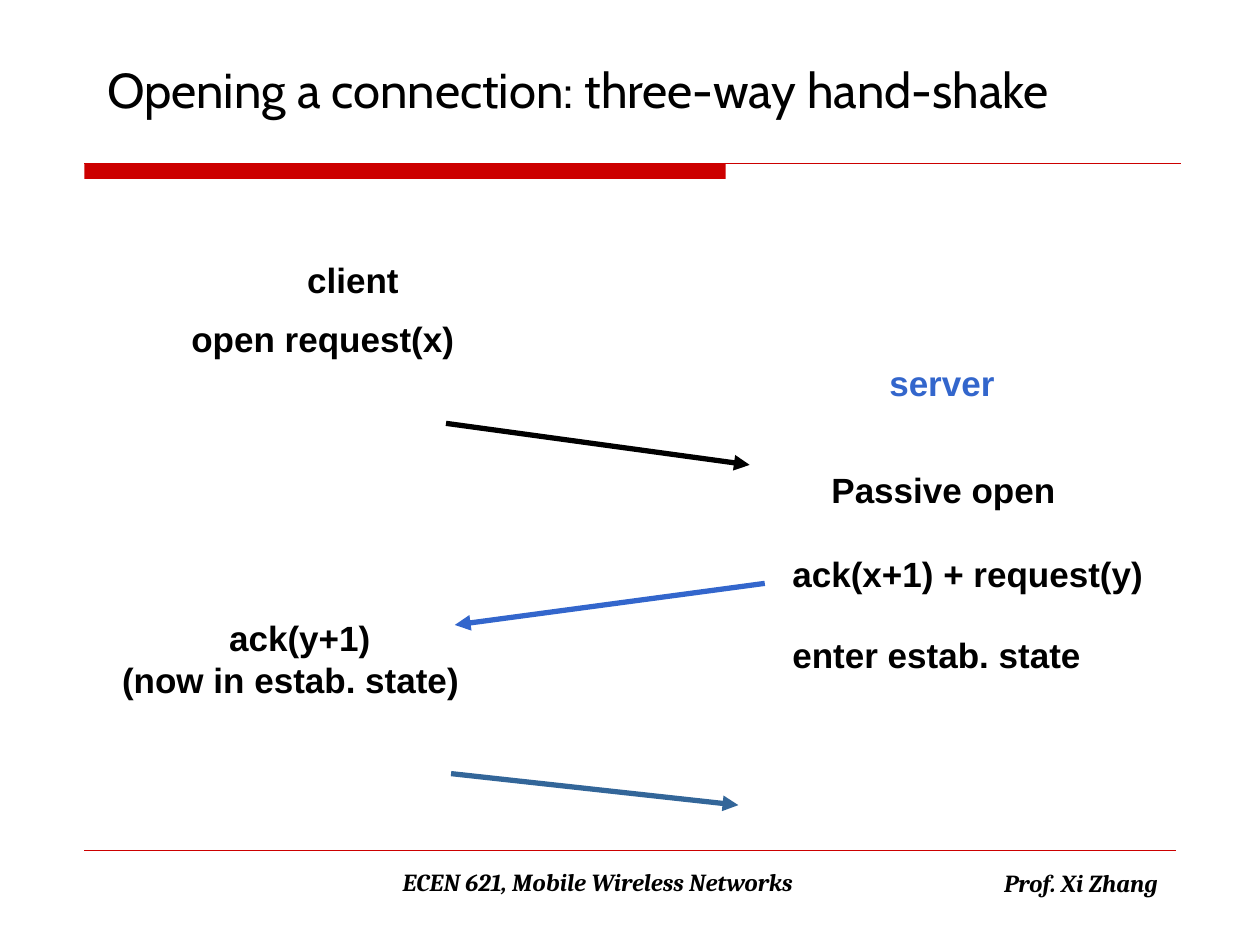
from dataclasses import dataclass

from lxml.etree import SubElement
from pptx import Presentation
from pptx.dml.color import RGBColor
from pptx.enum.shapes import MSO_CONNECTOR, MSO_SHAPE
from pptx.enum.text import MSO_ANCHOR as Anchor, MSO_AUTO_SIZE as AutoSize, PP_ALIGN as Align
from pptx.oxml.ns import qn
from pptx.slide import Slide
from pptx.text.text import _Paragraph as Paragraph
from pptx.util import Inches, Pt


@dataclass(frozen=True)
class Theme:
    ink: str = "000000"
    red: str = "CC0000"
    blue: str = "3366CC"
    steel: str = "336699"
    title_font: str = "Cabin"
    body_font: str = "Arial"
    footer_font: str = "Cambria"
    title_size: int = 28
    body_size: int = 20
    footer_size: int = 14


THEME = Theme()


@dataclass(frozen=True)
class Line:
    text: str
    indent: float = 0
    before: float = 0


@dataclass(frozen=True)
class Label:
    box: tuple[float, float, float, float]
    lines: tuple[Line, ...]
    color: str = THEME.ink


@dataclass(frozen=True)
class Footer:
    box: tuple[float, float, float, float]
    line: Line
    anchor: Anchor


@dataclass(frozen=True)
class Stroke:
    start: tuple[float, float]
    end: tuple[float, float]
    color: str
    width: float = 3
    arrow: bool = True


RULES = (
    Stroke((0.67, 1.3), (9.37, 1.3), THEME.red, 0.74, False),
    Stroke((0.67, 6.75), (9.33, 6.75), THEME.red, 0.26, False),
)
MESSAGES = (
    Stroke((3.54, 3.36), (5.95, 3.69), THEME.ink),
    Stroke((6.07, 4.63), (3.61, 4.96), THEME.blue),
    Stroke((3.58, 6.14), (5.86, 6.39), THEME.steel),
)
FOOTERS = (
    Footer((7.25, 6.67, 2.42, 0.5), Line("Prof. Xi Zhang", 0.24), Anchor.BOTTOM),
    Footer((2.08, 6.83, 5.33, 0.5), Line("ECEN 621, Mobile Wireless Networks"), Anchor.TOP),
)
LABELS = (
    Label((2.34, 2, 1, 0.43), (Line("client"),)),
    Label((6.96, 2.82, 1.1, 0.43), (Line("server"),), THEME.blue),
    Label((1.42, 2.47, 2.35, 0.43), (Line("open request(x)"),)),
    Label((6.19, 3.67, 3.05, 1.1),
          (Line("Passive open", 0.31), Line("ack(x+1) + request(y)", before=24))),
    Label((0.87, 4.84, 2.95, 0.76),
          (Line("ack(y+1)", 0.85), Line("(now in estab. state)"))),
    Label((6.19, 4.98, 2.55, 0.44), (Line("enter estab. state"),)),
)


def style(paragraph: Paragraph, font: str, size: int, color: str,
          bold: bool = True, italic: bool = False) -> None:
    """Set the font of a whole paragraph."""
    paragraph.font.name = font
    paragraph.font.size = Pt(size)
    paragraph.font.color.rgb = RGBColor.from_string(color)
    paragraph.font.bold = bold
    paragraph.font.italic = italic


def write(paragraph: Paragraph, line: Line) -> None:
    """Fill a paragraph with one line and its spacing."""
    paragraph.text = line.text
    paragraph.space_before = Pt(line.before)
    paragraph._p.get_or_add_pPr().set("marL", str(Inches(line.indent)))


def draw_stroke(slide: Slide, stroke: Stroke) -> None:
    """Draw a straight rule or arrow."""
    points = map(Inches, (*stroke.start, *stroke.end))
    connector = slide.shapes.add_connector(MSO_CONNECTOR.STRAIGHT, *points)
    connector.line.color.rgb = RGBColor.from_string(stroke.color)
    connector.line.width = Pt(stroke.width)
    if stroke.arrow:
        SubElement(connector.line._get_or_add_ln(), qn("a:tailEnd"), type="triangle")
    SubElement(connector._element.spPr, qn("a:effectLst"))


def draw_label(slide: Slide, label: Label) -> None:
    """Draw a bold label of one or more lines."""
    frame = slide.shapes.add_textbox(*map(Inches, label.box)).text_frame
    frame.word_wrap = True
    frame.auto_size = AutoSize.SHAPE_TO_FIT_TEXT
    for index, line in enumerate(label.lines):
        paragraph = frame.add_paragraph() if index else frame.paragraphs[0]
        write(paragraph, line)
        style(paragraph, THEME.body_font, THEME.body_size, label.color)


def draw_footer(slide: Slide, footer: Footer) -> None:
    """Draw a centred footer text."""
    frame = slide.shapes.add_textbox(*map(Inches, footer.box)).text_frame
    frame.word_wrap = True
    frame.vertical_anchor = footer.anchor
    paragraph = frame.paragraphs[0]
    write(paragraph, footer.line)
    paragraph.alignment = Align.CENTER
    style(paragraph, THEME.footer_font, THEME.footer_size, THEME.ink, italic=True)


def draw_title(slide: Slide, text: str) -> None:
    """Place and format the title placeholder."""
    title = slide.shapes.title
    title.left, title.top, title.width, title.height = map(Inches, (0.75, 0.08, 8.92, 1.25))
    frame = title.text_frame
    frame.text = text
    frame.vertical_anchor = Anchor.MIDDLE
    frame.paragraphs[0].alignment = Align.LEFT
    style(frame.paragraphs[0], THEME.title_font, THEME.title_size, THEME.ink, bold=False)


def draw_title_bar(slide: Slide) -> None:
    """Draw the thick bar under the title."""
    bar = slide.shapes.add_shape(MSO_SHAPE.RECTANGLE, *map(Inches, (0.67, 1.3, 5.09, 0.12)))
    bar.shadow.inherit = False
    bar.fill.solid()
    bar.fill.fore_color.rgb = RGBColor.from_string(THEME.red)
    bar.line.fill.background()


def main() -> None:
    """Build and save the slide."""
    deck = Presentation()
    deck.slide_width, deck.slide_height = Inches(10), Inches(7.5)
    slide = deck.slides.add_slide(deck.slide_layouts.get_by_name("Title Only"))
    draw_title_bar(slide)
    for stroke in RULES + MESSAGES:
        draw_stroke(slide, stroke)
    for footer in FOOTERS:
        draw_footer(slide, footer)
    for label in LABELS:
        draw_label(slide, label)
    draw_title(slide, "Opening a connection: three-way hand-shake")
    deck.save("out.pptx")


main()
